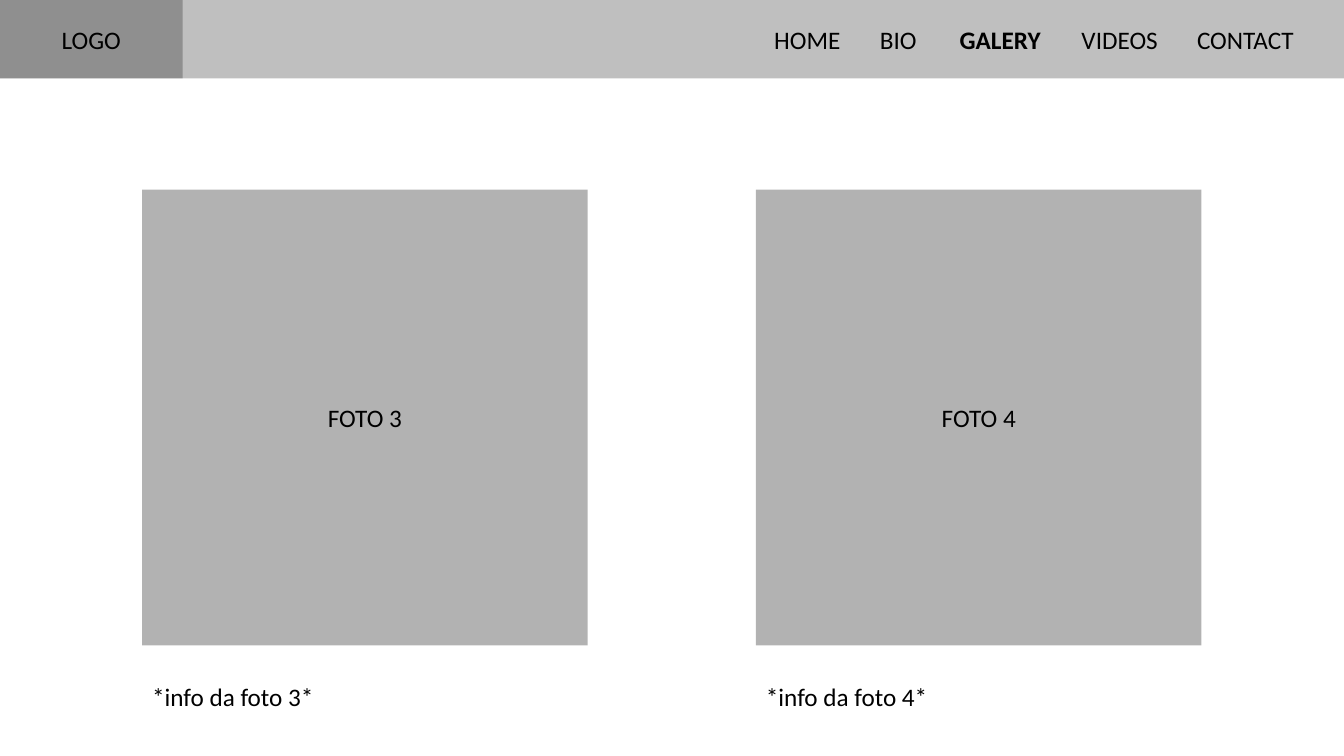
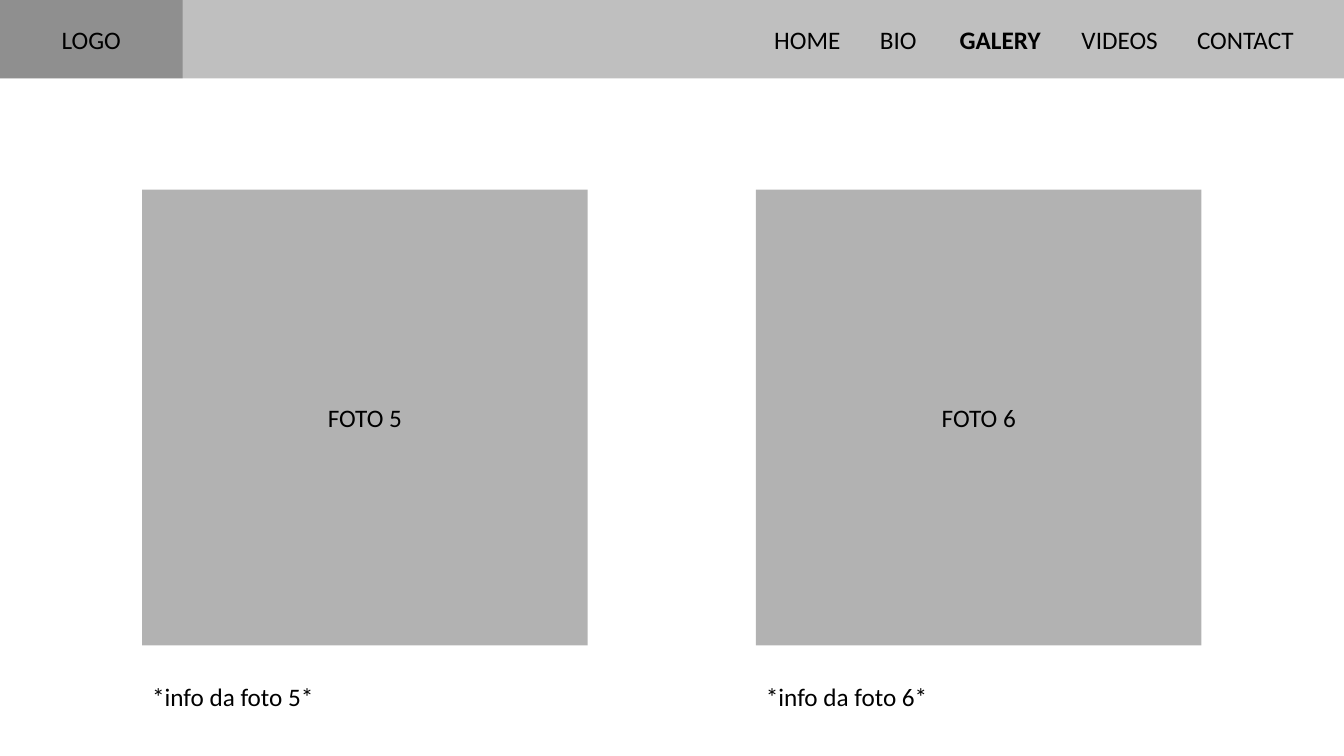
from dataclasses import dataclass

from lxml import etree
from pptx import Presentation
from pptx import util as u
from pptx.dml import color
from pptx.enum import shapes, text
from pptx.oxml import ns


@dataclass(frozen=True)
class Theme:
    """Colours, opacities and type shared by every slide."""

    ink: color.RGBColor = color.RGBColor(0, 0, 0)
    paper: color.RGBColor = color.RGBColor(255, 255, 255)
    font: str = "Calibri"
    size: float = 18
    bar_opacity: float = 25
    photo_opacity: float = 30


THEME = Theme()
WIDTH, HEIGHT = 960, 540
BAR_HEIGHT, LOGO_WIDTH = 56, 130.5
MENU = {"HOME": 553, "BIO": 628.5, "GALERY": 685.5, "VIDEOS": 772.5, "CONTACT": 855}
CURRENT_PAGE = "GALERY"
PHOTO_LEFT, PHOTO_TOP, PHOTO_PITCH = 101.5, 135.5, 438.5
PHOTO_WIDTH, PHOTO_HEIGHT = 318.25, 325.5
CAPTION_GAP, CAPTION_WIDTH, CAPTION_HEIGHT = 22, 173.5, 29
PAGES = [(3, 4), (5, 6)]


def apply(target, formats):
    """Set each attribute of the target from a dict of values."""
    for name, value in formats.items():
        setattr(target, name, value)


def add_run(paragraph, words, bold=False):
    """Add a run in the theme type."""
    run = paragraph.add_run()
    run.text = words
    apply(run.font, {"name": THEME.font, "size": u.Pt(THEME.size), "bold": bold})
    run.font.color.rgb = THEME.ink


def add_panel(slide, box, opacity, label=""):
    """Add a translucent rectangle with a centred label."""
    shape = slide.shapes.add_shape(shapes.MSO_SHAPE.RECTANGLE, *map(u.Pt, box))
    shape.shadow.inherit = False
    shape.line.fill.background()
    shape.fill.solid()
    shape.fill.fore_color.rgb = THEME.ink
    tint = shape.fill._xPr.find(".//" + ns.qn("a:srgbClr"))
    etree.SubElement(tint, ns.qn("a:alpha"), val=str(int(opacity * 1000)))
    shape.text_frame.vertical_anchor = text.MSO_ANCHOR.MIDDLE
    paragraph = shape.text_frame.paragraphs[0]
    paragraph.alignment = text.PP_ALIGN.CENTER
    if label:
        add_run(paragraph, label)
    return shape


def add_header(slide, box):
    """Add the navigation bar with its menu and logo area."""
    left, top, width, height = box
    bar = add_panel(slide, box, THEME.bar_opacity)
    apply(bar.text_frame, {"margin_left": 0, "margin_right": 0})
    paragraph = bar.text_frame.paragraphs[0]
    paragraph.alignment = text.PP_ALIGN.LEFT
    stops = etree.SubElement(paragraph._p.get_or_add_pPr(), ns.qn("a:tabLst"))
    for page, position in MENU.items():
        etree.SubElement(stops, ns.qn("a:tab"), pos=str(u.Pt(position)), algn="l")
        add_run(paragraph, "\t" + page, bold=page == CURRENT_PAGE)
    add_panel(slide, (left, top, LOGO_WIDTH, height), THEME.bar_opacity, "LOGO")


def add_photo(slide, box, number):
    """Add a photo area with its caption below."""
    left, top, width, height = box
    add_panel(slide, box, THEME.photo_opacity, f"FOTO {number}")
    caption_box = (left, top + height + CAPTION_GAP, CAPTION_WIDTH, CAPTION_HEIGHT)
    caption = slide.shapes.add_textbox(*map(u.Pt, caption_box))
    apply(caption.text_frame, {
        "word_wrap": True,
        "auto_size": text.MSO_AUTO_SIZE.SHAPE_TO_FIT_TEXT,
    })
    add_run(caption.text_frame.paragraphs[0], f"*info da foto {number}*")


def add_gallery_slide(presentation, numbers):
    """Add a gallery page with a row of photos."""
    slide = presentation.slides.add_slide(presentation.slide_layouts[6])
    slide.background.fill.solid()
    slide.background.fill.fore_color.rgb = THEME.paper
    add_header(slide, (0, 0, WIDTH, BAR_HEIGHT))
    for column, number in enumerate(numbers):
        left = PHOTO_LEFT + column * PHOTO_PITCH
        add_photo(slide, (left, PHOTO_TOP, PHOTO_WIDTH, PHOTO_HEIGHT), number)


def main():
    """Build and save the presentation."""
    presentation = Presentation()
    apply(presentation, {"slide_width": u.Pt(WIDTH), "slide_height": u.Pt(HEIGHT)})
    for numbers in PAGES:
        add_gallery_slide(presentation, numbers)
    presentation.save("out.pptx")


if __name__ == "__main__":
    main()
